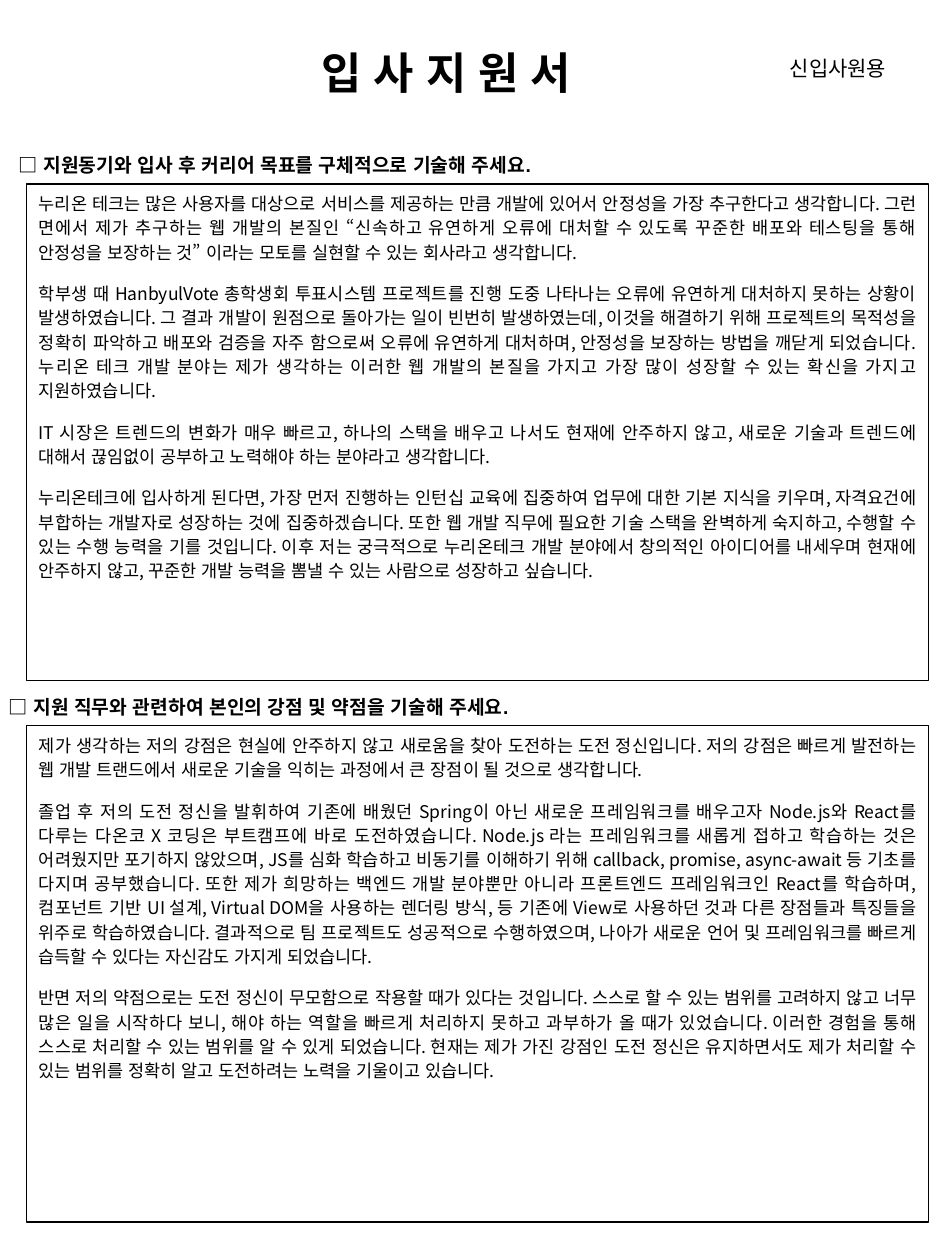
from pptx import Presentation
from pptx import util as u
from pptx.dml.color import RGBColor
from pptx.enum import shapes, text
from pptx.oxml.ns import qn
from lxml import etree

# Content
TITLE = "입 사 지 원 서"
APPLICANT_TYPE = "신입사원용"
SECTIONS = [
    {
        "heading": "□ 지원동기와 입사 후 커리어 목표를 구체적으로 기술해 주세요.",
        "heading_left": 0.05,
        "answer": [
            "누리온 테크는 많은 사용자를 대상으로 서비스를 제공하는 만큼 개발에 있어서 안정성을 가장 추구한다고 생각합니다. "
            "그런 면에서 제가 추구하는 웹 개발의 본질인 “신속하고 유연하게 오류에 대처할 수 있도록 꾸준한 배포와 테스팅을 통해 "
            "안정성을 보장하는 것” 이라는 모토를 실현할 수 있는 회사라고 생각합니다.",
            "학부생 때 HanbyulVote 총학생회 투표시스템 프로젝트를 진행 도중 나타나는 오류에 유연하게 대처하지 못하는 상황이 "
            "발생하였습니다. 그 결과 개발이 원점으로 돌아가는 일이 빈번히 발생하였는데, 이것을 해결하기 위해 프로젝트의 "
            "목적성을 정확히 파악하고 배포와 검증을 자주 함으로써 오류에 유연하게 대처하며, 안정성을 보장하는 방법을 깨닫게 "
            "되었습니다. 누리온 테크 개발 분야는 제가 생각하는 이러한 웹 개발의 본질을 가지고 가장 많이 성장할 수 있는 확신을 "
            "가지고 지원하였습니다.",
            "IT 시장은 트렌드의 변화가 매우 빠르고, 하나의 스택을 배우고 나서도 현재에 안주하지 않고, 새로운 기술과 트렌드에 "
            "대해서 끊임없이 공부하고 노력해야 하는 분야라고 생각합니다.",
            "누리온테크에 입사하게 된다면, 가장 먼저 진행하는 인턴십 교육에 집중하여 업무에 대한 기본 지식을 키우며, "
            "자격요건에 부합하는 개발자로 성장하는 것에 집중하겠습니다. 또한 웹 개발 직무에 필요한 기술 스택을 완벽하게 "
            "숙지하고, 수행할 수 있는 수행 능력을 기를 것입니다. 이후 저는 궁극적으로 누리온테크 개발 분야에서 창의적인 "
            "아이디어를 내세우며 현재에 안주하지 않고, 꾸준한 개발 능력을 뽐낼 수 있는 사람으로 성장하고 싶습니다.",
        ],
    },
    {
        "heading": "□ 지원 직무와 관련하여 본인의 강점 및 약점을 기술해 주세요.",
        "heading_left": -0.03,
        "answer": [
            "제가 생각하는 저의 강점은 현실에 안주하지 않고 새로움을 찾아 도전하는 도전 정신입니다. 저의 강점은 빠르게 발전하는 "
            "웹 개발 트랜드에서 새로운 기술을 익히는 과정에서 큰 장점이 될 것으로 생각합니다.",
            "졸업 후 저의 도전 정신을 발휘하여 기존에 배웠던 Spring이 아닌 새로운 프레임워크를 배우고자 Node.js와 React를 "
            "다루는 다온코 X 코딩은 부트캠프에 바로 도전하였습니다. Node.js 라는 프레임워크를 새롭게 접하고 학습하는 것은 "
            "어려웠지만 포기하지 않았으며, JS를 심화 학습하고 비동기를 이해하기 위해 callback, promise, async-await 등 "
            "기초를 다지며 공부했습니다. 또한 제가 희망하는 백엔드 개발 분야뿐만 아니라 프론트엔드 프레임워크인 React를 "
            "학습하며, 컴포넌트 기반 UI 설계, Virtual DOM을 사용하는 렌더링 방식, 등 기존에 View로 사용하던 것과 다른 "
            "장점들과 특징들을 위주로 학습하였습니다. 결과적으로 팀 프로젝트도 성공적으로 수행하였으며, 나아가 새로운 언어 및 "
            "프레임워크를 빠르게 습득할 수 있다는 자신감도 가지게 되었습니다.",
            "반면 저의 약점으로는 도전 정신이 무모함으로 작용할 때가 있다는 것입니다. 스스로 할 수 있는 범위를 고려하지 않고 "
            "너무 많은 일을 시작하다 보니, 해야 하는 역할을 빠르게 처리하지 못하고 과부하가 올 때가 있었습니다. 이러한 경험을 "
            "통해 스스로 처리할 수 있는 범위를 알 수 있게 되었습니다. 현재는 제가 가진 강점인 도전 정신은 유지하면서도 제가 "
            "처리할 수 있는 범위를 정확히 알고 도전하려는 노력을 기울이고 있습니다.",
        ],
    },
]


class Theme:
    ink = RGBColor(0, 0, 0)
    paper = RGBColor(255, 255, 255)
    label_font = "Arial"
    body_font = "Noto Sans CJK KR"
    title_size, type_size, heading_size, body_size = 25, 12, 11, 10
    border = 0.75


# Layout in inches
FIRST_TOP, SECTION_STEP = 1.17, 4.3
HEADING_WIDTH, HEADING_HEIGHT = 5.59, 0.29
BOX_LEFT, BOX_WIDTH, BOX_HEIGHT = 0.21, 7.16, 3.94


def place(shape, left, top, width, height):
    shape.left, shape.top = u.Inches(left), u.Inches(top)
    shape.width, shape.height = u.Inches(width), u.Inches(height)


def write(shape, lines, size, font, bold=False, align=text.PP_ALIGN.LEFT,
          anchor=text.MSO_ANCHOR.TOP):
    frame = shape.text_frame
    frame.text = "\n".join(lines)
    frame.word_wrap = True
    frame.auto_size = text.MSO_AUTO_SIZE.NONE
    frame.vertical_anchor = anchor
    for paragraph in frame.paragraphs:
        paragraph.alignment = align
        paragraph.font.size = u.Pt(size)
        paragraph.font.name = font
        paragraph.font.bold = bold
        paragraph.font.color.rgb = Theme.ink
        # Korean glyphs take the East Asian typeface
        for run in paragraph.runs:
            properties = run._r.get_or_add_rPr()
            properties.set("lang", "ko-KR")
            etree.SubElement(properties, qn("a:ea"), typeface=Theme.body_font)


presentation = Presentation()
presentation.slide_width, presentation.slide_height = u.Inches(7.5), u.Inches(10)
slide = presentation.slides.add_slide(presentation.slide_layouts[5])


def add_label(left, top, width, height, label, size, **style):
    box = slide.shapes.add_textbox(*map(u.Inches, (left, top, width, height)))
    write(box, [label], size, Theme.label_font, **style)


# Title and applicant type
title = slide.shapes.title
place(title, 2.45, 0.31, 2.75, 0.52)
write(title, [TITLE], Theme.title_size, Theme.label_font, bold=True,
      anchor=text.MSO_ANCHOR.MIDDLE)
add_label(6.17, 0.39, 1.04, 0.3, APPLICANT_TYPE, Theme.type_size,
          anchor=text.MSO_ANCHOR.MIDDLE)

# Questions with their answer boxes
for index, section in enumerate(SECTIONS):
    top = FIRST_TOP + index * SECTION_STEP
    add_label(section["heading_left"], top, HEADING_WIDTH, HEADING_HEIGHT,
              section["heading"], Theme.heading_size, bold=True)
    box = slide.shapes.add_shape(shapes.MSO_SHAPE.RECTANGLE, 0, 0, 0, 0)
    place(box, BOX_LEFT, top + HEADING_HEIGHT, BOX_WIDTH, BOX_HEIGHT)
    box.shadow.inherit = False
    box.fill.solid()
    box.fill.fore_color.rgb = Theme.paper
    box.line.color.rgb = Theme.ink
    box.line.width = u.Pt(Theme.border)
    write(box, section["answer"], Theme.body_size, Theme.body_font,
          align=text.PP_ALIGN.JUSTIFY)
    for paragraph in box.text_frame.paragraphs:
        paragraph.line_spacing = 1.15
        paragraph.space_after = u.Pt(10)

presentation.save("out.pptx")
